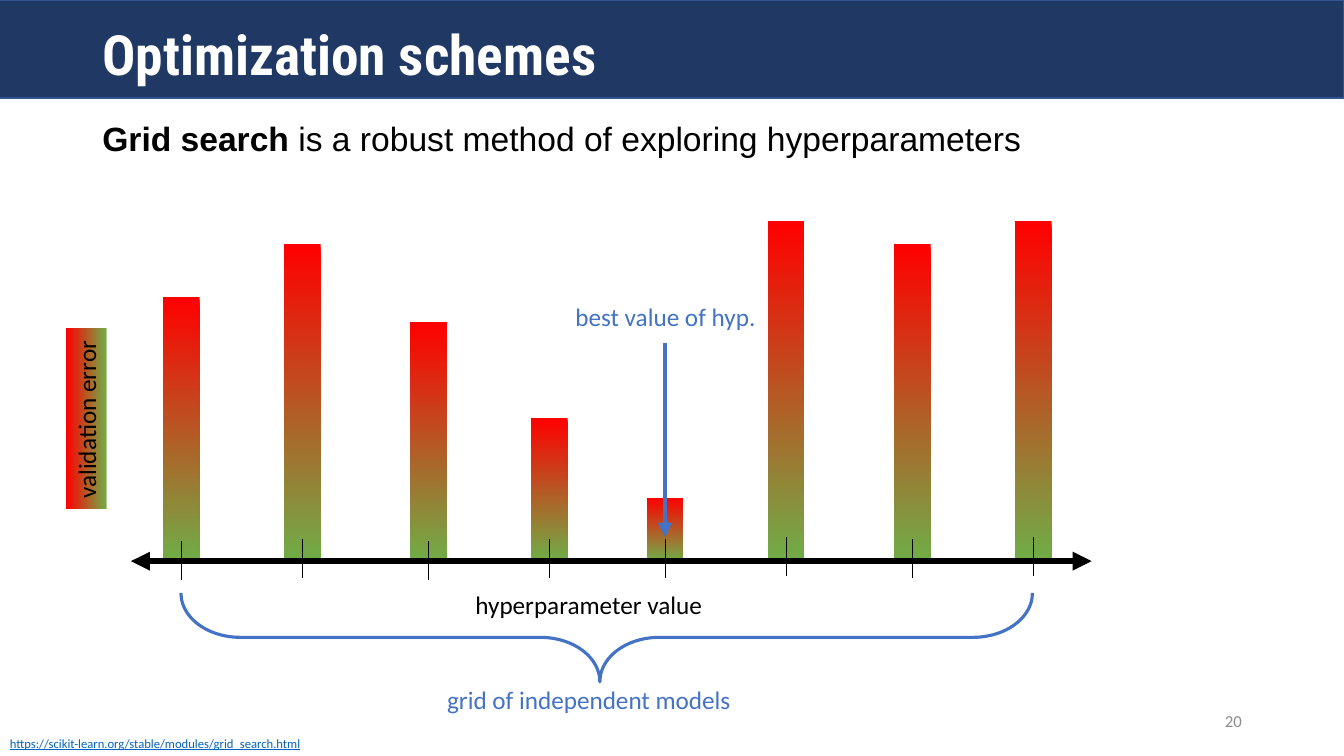
from dataclasses import dataclass

from lxml import etree
from pptx import Presentation
from pptx import util as u
from pptx.dml.color import RGBColor
from pptx.enum import shapes, text
from pptx.oxml.ns import qn


@dataclass(frozen=True)
class Theme:
    navy: str = "203864"
    navy_edge: str = "325491"
    white: str = "FFFFFF"
    black: str = "000000"
    grey: str = "8C8C8C"
    accent: str = "4472C4"
    link: str = "0563C1"
    high_error: str = "FF0000"
    low_error: str = "70AD47"
    title_font: str = "Roboto Condensed"
    lead_font: str = "Arial"
    label_font: str = "Calibri"
    title_size: float = 39.6
    lead_size: float = 24
    label_size: float = 18
    number_size: float = 12
    source_size: float = 9


class SlideBuilder:
    def __init__(self, slide, theme):
        self.shapes = slide.shapes
        self.theme = theme

    def shape(self, kind, left, top, width, height):
        outline = self.shapes.add_shape(kind, u.Cm(left), u.Cm(top), u.Cm(width), u.Cm(height))
        outline.shadow.inherit = False
        return outline

    def band(self, left, top, width, height):
        band = self.shape(shapes.MSO_SHAPE.RECTANGLE, left, top, width, height)
        band.fill.solid()
        band.fill.fore_color.rgb = RGBColor.from_string(self.theme.navy)
        band.line.color.rgb = RGBColor.from_string(self.theme.navy_edge)
        band.line.width = u.Pt(1)

    def error_bar(self, left, top, width, height):
        """Draw a rectangle shaded from high error (top) to low error (bottom)."""
        bar = self.shape(shapes.MSO_SHAPE.RECTANGLE, left, top, width, height)
        bar.line.fill.background()
        bar.fill.gradient()
        bar.fill.gradient_angle = 270
        colors = (self.theme.high_error, self.theme.low_error)
        for stop, position, color in zip(bar.fill.gradient_stops, (0, 1), colors):
            stop.position = position
            stop.color.rgb = RGBColor.from_string(color)
        return bar

    def brace(self, left, top, width, height):
        """Draw a brace that points down; the box is given before rotation."""
        brace = self.shape(shapes.MSO_SHAPE.LEFT_BRACE, left, top, width, height)
        brace.rotation = 270
        brace.adjustments[0], brace.adjustments[1] = 0.668, 0.492
        brace.fill.background()
        brace.line.color.rgb = RGBColor.from_string(self.theme.accent)
        brace.line.width = u.Pt(2.25)

    def line(self, start, end, color, weight, arrows=()):
        """Draw a straight line; arrows lists "headEnd" and/or "tailEnd", in that order."""
        line = self.shapes.add_connector(
            shapes.MSO_CONNECTOR.STRAIGHT, *(u.Cm(value) for value in (*start, *end)))
        line.line.color.rgb = RGBColor.from_string(color)
        line.line.width = u.Pt(weight)
        properties = line._element.spPr.find(qn("a:ln"))
        for arrow in arrows:
            etree.SubElement(properties, qn(f"a:{arrow}"), type="triangle")
        etree.SubElement(line._element.spPr, qn("a:effectLst"))

    def fill_frame(self, frame, wording, size, color, font=None, bold_words=0, spacing=None,
                   align=text.PP_ALIGN.LEFT, anchor=text.MSO_ANCHOR.TOP, wrap=False):
        """Fill a text frame; the first bold_words words are set in bold."""
        words = wording.split(" ")
        lead, rest = " ".join(words[:bold_words]), " ".join(words[bold_words:])
        if lead and rest:
            rest = " " + rest
        frame.word_wrap = wrap
        frame.vertical_anchor = anchor
        paragraph = frame.paragraphs[0]
        paragraph.alignment = align
        paragraph.line_spacing = spacing
        for part, bold in ((lead, True), (rest, False)):
            if part:
                run = paragraph.add_run()
                run.text = part
                run.font.bold = bold
                run.font.size = u.Pt(size)
                run.font.name = font or self.theme.label_font
                run.font.color.rgb = RGBColor.from_string(color)
        return paragraph

    def text(self, left, top, width, height, wording, size, color, **style):
        box = self.shapes.add_textbox(u.Cm(left), u.Cm(top), u.Cm(width), u.Cm(height))
        return self.fill_frame(box.text_frame, wording, size, color, **style)


AXIS_Y = 14.14
BAR_WIDTH = 0.93
TICK_LENGTH = 0.97
# (hyperparameter position, height of the validation error, top of the tick) in cm
MODELS = [
    (4.57, 6.65, 13.64), (7.62, 8.0, 13.59), (10.8, 6.02, 13.64), (13.84, 3.6, 13.59),
    (16.76, 1.6, 13.59), (19.81, 8.56, 13.54), (22.99, 8.0, 13.59), (26.04, 8.56, 13.54),
]


def main():
    presentation = Presentation()
    presentation.slide_width, presentation.slide_height = u.Cm(33.87), u.Cm(19.05)
    theme = Theme()
    builder = SlideBuilder(presentation.slides.add_slide(presentation.slide_layouts[6]), theme)

    builder.band(-0.33, 0, 34.2, 2.47)
    builder.text(2.33, 0.58, 29.21, 1.73, "Optimization schemes", theme.title_size, theme.white,
                 font=theme.title_font, bold_words=2, spacing=0.9,
                 anchor=text.MSO_ANCHOR.MIDDLE, wrap=True)
    builder.text(2.33, 2.97, 29.21, 2.92,
                 "Grid search is a robust method of exploring hyperparameters",
                 theme.lead_size, theme.black, font=theme.lead_font, bold_words=2,
                 spacing=0.9, wrap=True)
    source = builder.text(0, 18.41, 7.95, 0.64,
                          "https://scikit-learn.org/stable/modules/grid_search.html",
                          theme.source_size, theme.link)
    source.runs[0].font.underline = True

    for position, error, _ in MODELS:
        builder.error_bar(position - BAR_WIDTH / 2, AXIS_Y - error, BAR_WIDTH, error)
    error_label = builder.error_bar(-0.1, 10.03, 4.55, 1.02)
    error_label.rotation = 270
    builder.fill_frame(error_label.text_frame, "validation error", theme.label_size, theme.black)

    builder.line((3.3, AXIS_Y), (27.51, AXIS_Y), theme.black, 4.5, ("headEnd", "tailEnd"))
    builder.text(11.73, 14.73, 6.3, 1.02, "hyperparameter value", theme.label_size, theme.black)
    for position, _, tick_top in MODELS:
        builder.line((position, tick_top + TICK_LENGTH), (position, tick_top), theme.black, 0.5)

    builder.brace(14.17, 5.33, 2.24, 21.46)
    builder.text(11.02, 17.12, 7.75, 1.02, "grid of independent models",
                 theme.label_size, theme.accent)

    best_position = min(MODELS, key=lambda model: model[1])[0]
    builder.line((best_position, 8.64), (best_position, 13.54), theme.accent, 3.5, ("tailEnd",))
    builder.text(14.25, 7.47, 5.11, 1.02, "best value of hyp.", theme.label_size, theme.accent)
    builder.text(23.93, 17.65, 7.62, 1.02, "20", theme.number_size, theme.grey,
                 align=text.PP_ALIGN.RIGHT, anchor=text.MSO_ANCHOR.MIDDLE, wrap=True)

    presentation.save("out.pptx")


if __name__ == "__main__":
    main()
